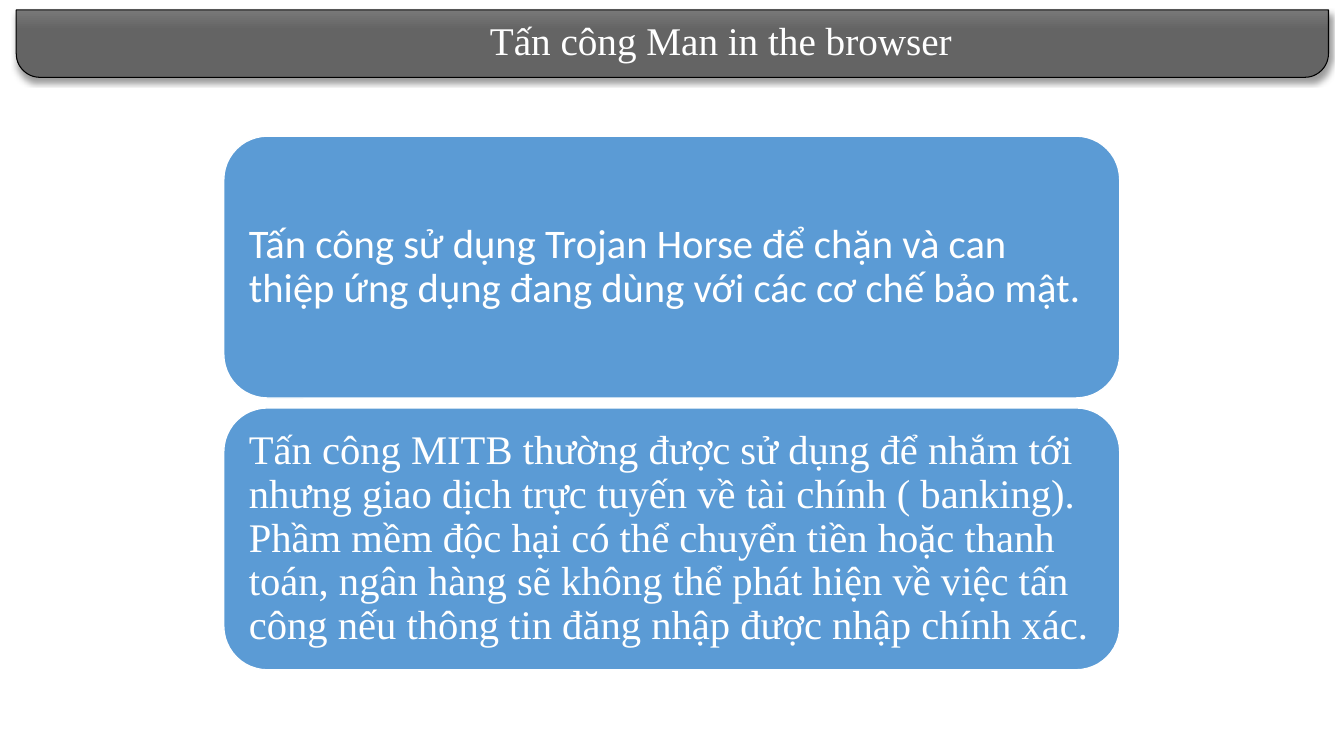
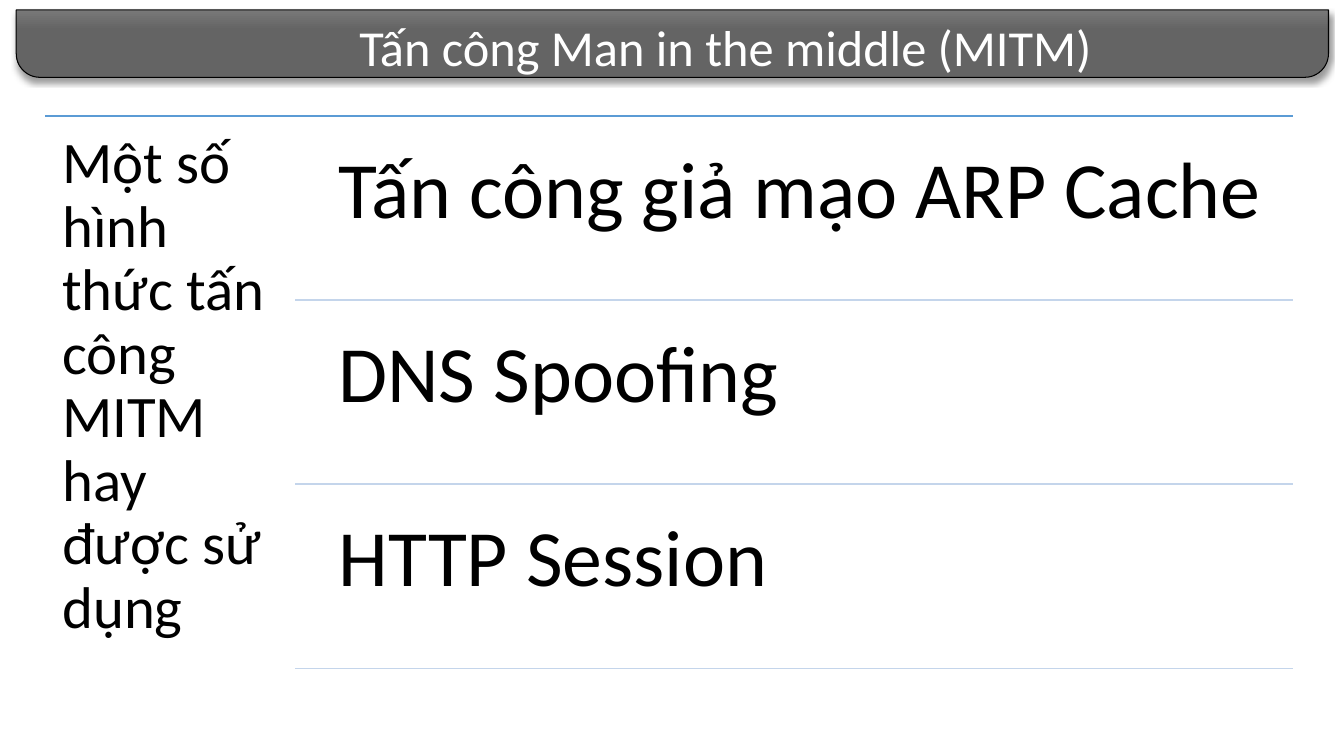
from pptx import Presentation
from pptx import util as u
from pptx.dml.color import RGBColor
from pptx.enum import shapes, text
from pptx.oxml import parse_xml
from pptx.oxml.ns import nsdecls, qn

SERIF, SANS = "Times New Roman", "Calibri"
WHITE, BLACK, BLUE, PALE_BLUE = "FFFFFF", "000000", "5B9BD5", "C4D5EB"
BAND_TOP, BAND_GREY = "787878", "646464"
CARD_LEFT, CARD_TOP, CARD_WIDTH, CARD_HEIGHT, CARD_GAP = 5.64, 3.43, 22.58, 6.6, 0.25
LIST_LEFT, LIST_TOP, LIST_RIGHT = 1.14, 2.92, 32.59
ROW_LEFT, ROW_PITCH, ROW_PAD = 7.44, 4.64, 0.23


def color(value):
    """Turn a hex string into a colour."""
    return RGBColor.from_string(value)


def box(left, top, width, height):
    """Return a position and size given in centimetres."""
    return [u.Cm(v) for v in (left, top, width, height)]


def write(sp, words, font, size, fill, margin, anchor=text.MSO_ANCHOR.TOP,
          align=text.PP_ALIGN.LEFT, spacing=0.9):
    """Fill a shape with one formatted paragraph."""
    tf = sp.text_frame
    tf.word_wrap = True
    tf.auto_size = text.MSO_AUTO_SIZE.NONE
    tf.vertical_anchor = anchor
    tf.margin_left = tf.margin_right = tf.margin_top = tf.margin_bottom = u.Cm(margin)
    tf.text = words
    p = tf.paragraphs[0]
    p.alignment = align
    p.line_spacing = spacing
    p.font.name = font
    p.font.size = u.Pt(size)
    p.font.color.rgb = color(fill)


def add_band(s):
    """Draw the grey title band behind everything else."""
    sp = s.shapes.add_shape(shapes.MSO_SHAPE.ROUND_2_SAME_RECTANGLE,
                            *box(0.41, 0.25, 33.07, 1.7))
    sp.adjustments[0], sp.adjustments[1] = 0, 0.352
    sp.fill.gradient()
    sp.fill.gradient_angle = 270
    for stop, position, value in zip(sp.fill.gradient_stops, (0, 0.3),
                                     (BAND_TOP, BAND_GREY)):
        stop.position = position
        stop.color.rgb = color(value)
    sp.line.color.rgb = color(BLACK)
    sp.line.width = u.Pt(0.75)
    sp.shadow.inherit = False
    effects = sp._element.spPr.find(qn("a:effectLst"))
    effects.append(parse_xml(
        f'<a:outerShdw {nsdecls("a")} blurRad="{u.Pt(4)}" dist="{u.Pt(3)}" '
        f'dir="5400000" rotWithShape="0"><a:srgbClr val="{BLACK}">'
        '<a:alpha val="40000"/></a:srgbClr></a:outerShdw>'))
    s.shapes._spTree.insert(2, sp._element)


def add_slide(prs, title, font, size):
    """Add a slide with the title band and its title."""
    s = prs.slides.add_slide(prs.slide_layouts.get_by_name("Title Only"))
    add_band(s)
    sp = s.shapes.title
    sp.left, sp.top, sp.width, sp.height = box(8.36, 0.28, 19.86, 1.8)
    write(sp, title, font, size, WHITE, 0.13, align=text.PP_ALIGN.CENTER, spacing=1.0)
    return s


def add_card(s, index, words, font):
    """Add one rounded blue card to the stack."""
    top = CARD_TOP + index * (CARD_HEIGHT + CARD_GAP)
    sp = s.shapes.add_shape(shapes.MSO_SHAPE.ROUNDED_RECTANGLE,
                            *box(CARD_LEFT, top, CARD_WIDTH, CARD_HEIGHT))
    sp.shadow.inherit = False
    sp.fill.solid()
    sp.fill.fore_color.rgb = color(BLUE)
    sp.line.color.rgb = color(WHITE)
    sp.line.width = u.Pt(1)
    write(sp, words, font, 29, WHITE, 0.31, text.MSO_ANCHOR.MIDDLE)


def add_rule(s, left, y, value):
    """Draw a horizontal line to the right edge of the list."""
    line = s.shapes.add_connector(shapes.MSO_CONNECTOR.STRAIGHT,
                                  *box(left, y, LIST_RIGHT, y))
    line.line.color.rgb = color(value)
    line.line.width = u.Pt(1)
    line._element.spPr.append(parse_xml(f'<a:effectLst {nsdecls("a")}/>'))


def add_label(s, place, words, size, margin):
    """Add a black text box."""
    write(s.shapes.add_textbox(*box(*place)), words, SANS, size, BLACK, margin)


def add_lined_list(s, heading, items):
    """Add a side heading with ruled rows beside it."""
    add_rule(s, LIST_LEFT, LIST_TOP, BLUE)
    add_label(s, (LIST_LEFT, LIST_TOP, ROW_LEFT - LIST_LEFT, 14.12), heading, 42, 0.43)
    for i, item in enumerate(items):
        top = LIST_TOP + i * ROW_PITCH
        add_label(s, (7.92, top + ROW_PAD, 24.69, ROW_PITCH - ROW_PAD), item, 57, 0.61)
        add_rule(s, ROW_LEFT, top + ROW_PITCH, PALE_BLUE)


def main():
    """Build and save the presentation."""
    prs = Presentation()
    prs.slide_width, prs.slide_height = u.Cm(33.87), u.Cm(19.05)

    s = add_slide(prs, "Tấn công Man in the browser ", SERIF, 28)
    cards = [
        ("Tấn công sử dụng Trojan Horse để chặn và can thiệp ứng dụng đang dùng "
         "với các cơ chế bảo mật.", SANS),
        ("Tấn công MITB thường được sử dụng để nhắm tới nhưng giao dịch trực tuyến "
         "về tài chính ( banking). Phầm mềm độc hại có thể chuyển tiền hoặc thanh "
         "toán, ngân hàng sẽ không thể phát hiện về việc tấn công nếu thông tin "
         "đăng nhập được nhập chính xác.", SERIF),
    ]
    for i, (words, font) in enumerate(cards):
        add_card(s, i, words, font)

    s = add_slide(prs, "Tấn công Man in the middle (MITM)", SANS, 36)
    add_lined_list(s, "Một số hình thức tấn công MITM hay được sử dụng",
                   ["Tấn công giả mạo ARP Cache", "DNS Spoofing", "HTTP Session"])

    prs.save("out.pptx")


if __name__ == "__main__":
    main()
